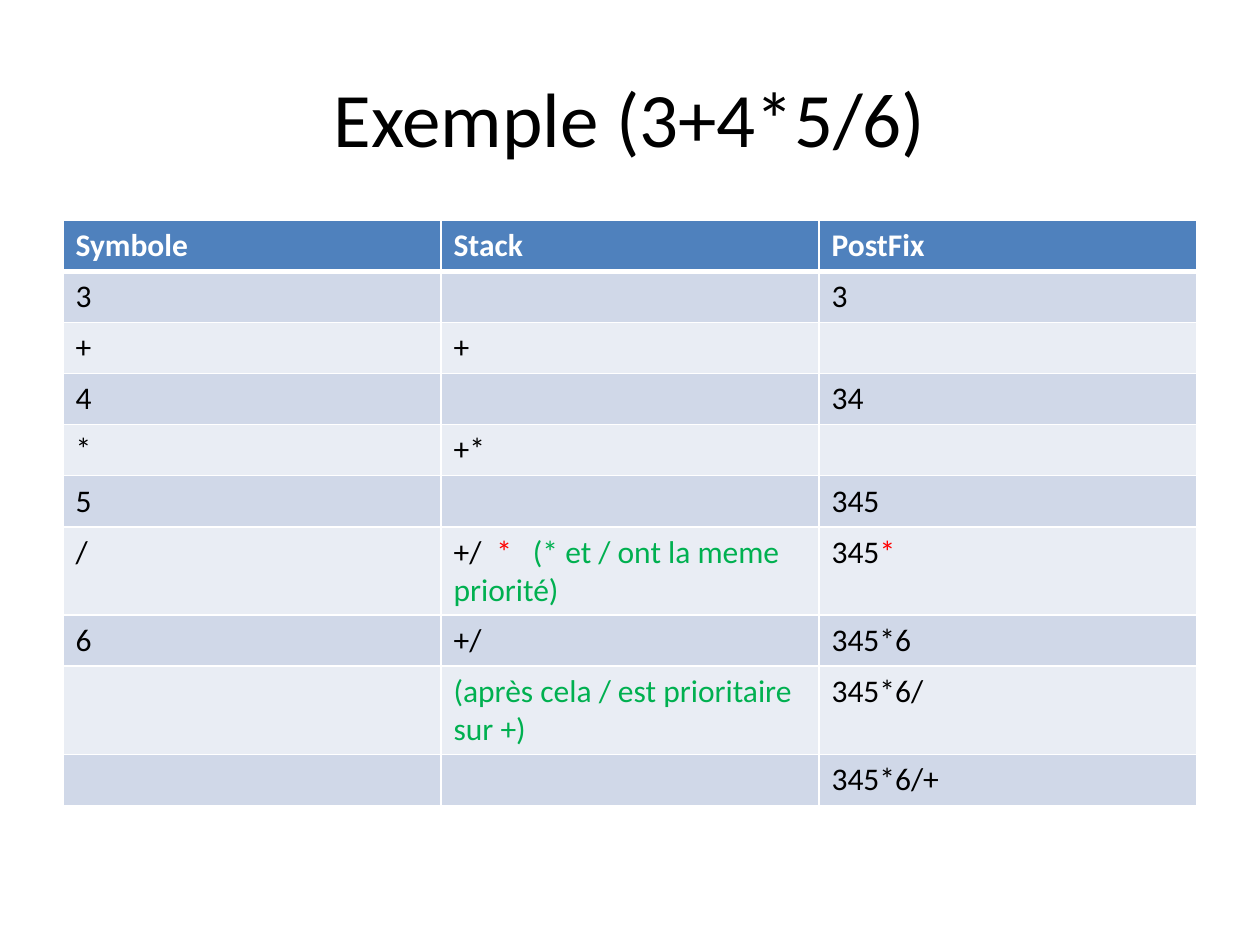
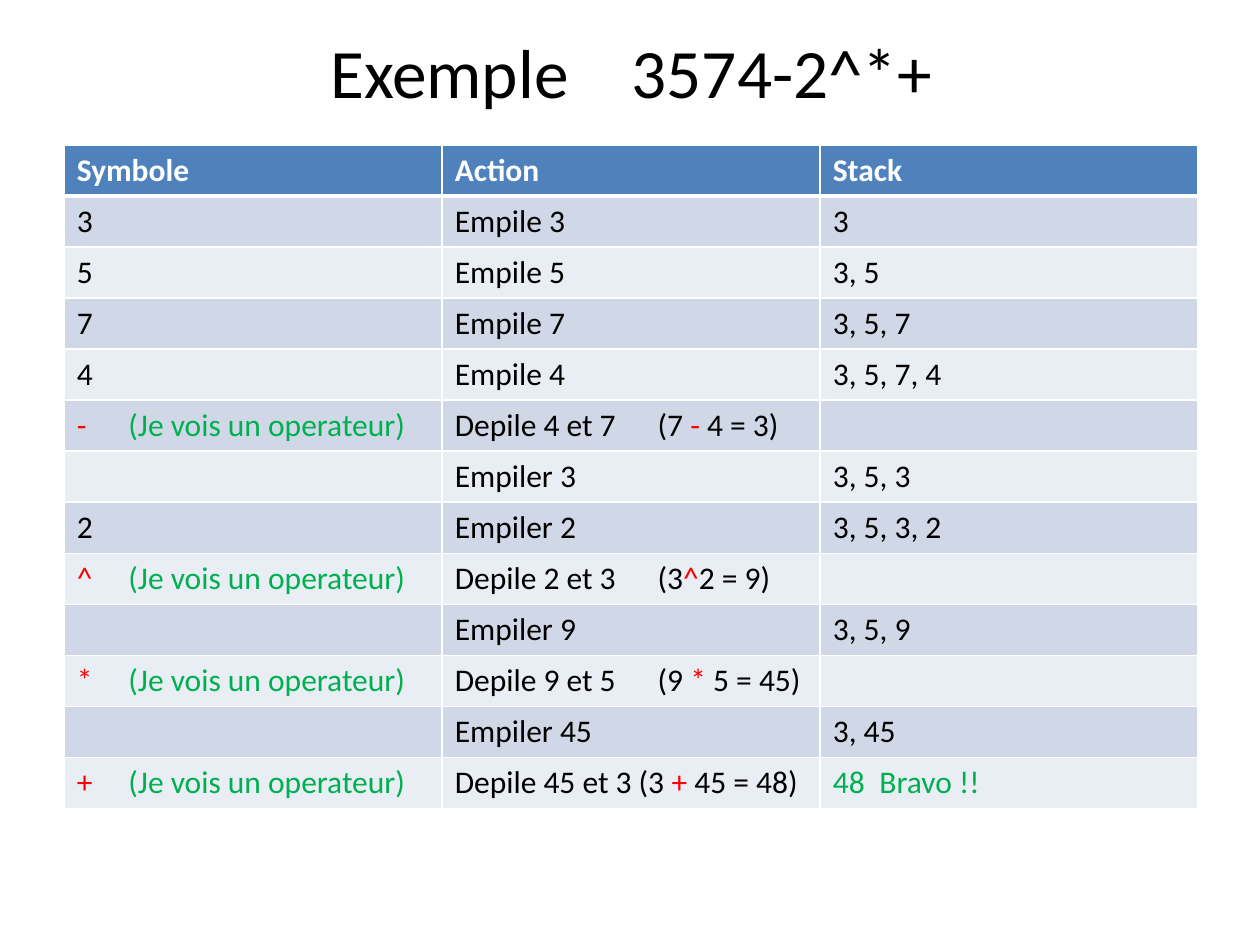
from lxml.etree import SubElement as Sub
from pptx import Presentation
from pptx.dml.color import RGBColor as Color
from pptx.enum.text import MSO_ANCHOR as Anchor, PP_ALIGN as Align
from pptx.oxml.ns import qn
from pptx.util import Inches, Pt

HUES = {
    "black": "000000",
    "white": "FFFFFF",
    "red": "FF0000",
    "green": "00B050",
    "head": "4F81BD",
    "odd": "D0D8E8",
    "even": "E9EDF4",
}
FACE = "Calibri"
HEAD = {"name": FACE, "size": Pt(18), "bold": True}
BODY = {"name": FACE, "size": Pt(18), "bold": False}
WIDTH = 9
ROW = 5.27 / 13


def hue(name):
    return Color.from_string(HUES[name])


def add_run(para, text, style, shade):
    run = para.add_run()
    run.text = text
    for key, value in style.items():
        setattr(run.font, key, value)
    run.font.color.rgb = hue(shade)
    return run


def add_title(slide, box, parts, size, gap=0):
    frame = slide.shapes.add_textbox(*map(Inches, box)).text_frame
    frame.word_wrap = True
    frame.vertical_anchor = Anchor.MIDDLE
    para = frame.paragraphs[0]
    para.alignment = Align.CENTER
    style = {"name": FACE, "size": Pt(size)}
    for part in parts:
        if para.runs:
            space = add_run(para, " ", style, "black")
            space.font._element.set("spc", str(gap * 100))
        add_run(para, part, style, "black")


def add_edge(cell, side, width):
    props = cell._tc.get_or_add_tcPr()
    line = Sub(props, qn("a:ln" + side), w=str(Pt(width)))
    fill = Sub(line, qn("a:solidFill"))
    Sub(fill, qn("a:srgbClr"), val=HUES["white"])


def add_tabs(para, stops):
    tabs = Sub(para._p.get_or_add_pPr(), qn("a:tabLst"))
    for stop in stops:
        Sub(tabs, qn("a:tab"), pos=str(Inches(stop)), algn="l")


def fill_cell(cell, parts, row, stops):
    wide = {"T": 3 if row == 1 else 1, "B": 3 if row == 0 else 1}
    for side in "LRTB":
        add_edge(cell, side, wide.get(side, 1))
    cell.fill.solid()
    cell.fill.fore_color.rgb = hue("head" if row == 0 else "odd" if row % 2 else "even")
    if isinstance(parts, str):
        parts = [(parts, "black" if row else "white")] if parts else []
    para = cell.text_frame.paragraphs[0]
    if any("\t" in text for text, shade in parts):
        add_tabs(para, stops)
    for text, shade in parts:
        add_run(para, text, BODY if row else HEAD, shade)


def add_grid(slide, left, top, rows, stops):
    count = len(rows[0])
    box = map(Inches, (left, top, WIDTH, ROW * len(rows)))
    grid = slide.shapes.add_table(len(rows), count, *box).table
    for col in grid.columns:
        col.width = Inches(WIDTH / count)
    for r, row in enumerate(rows):
        grid.rows[r].height = Inches(ROW)
        for c, parts in enumerate(row):
            fill_cell(grid.cell(r, c), parts, r, stops.get(c, []))


def sign(mark):
    return [(mark + "\t", "red"), ("(Je vois un operateur)", "green")]


def pop(start, mark, end):
    return [(start, "black"), (mark, "red"), (end, "black")]


def add_infix(slide):
    add_title(slide, (0.5, 0.3, WIDTH, 1.25), ["Exemple (3+4*5/6)"], 44)
    rows = [
        ("Symbole", "Stack", "PostFix"),
        ("3", "", "3"),
        ("+", "+", ""),
        ("4", "", "34"),
        ("*", "+*", ""),
        ("5", "", "345"),
        (
            "/",
            [("+/\t", "black"), ("*\t", "red"), ("(* et / ont la meme priorité)", "green")],
            [("345", "black"), ("*", "red")],
        ),
        ("6", "+/", "345*6"),
        ("", [("(après cela / est prioritaire sur +)", "green")], "345*6/"),
        ("", "", "345*6/+"),
    ]
    add_grid(slide, 0.5, 1.75, rows, {1: [0.34, 0.63]})


def add_postfix(slide):
    add_title(slide, (0.51, 0.29, WIDTH, 0.55), ["Exemple", "3574-2^*+"], 39.6, 27)
    rows = [
        ("Symbole", "Action", "Stack"),
        ("3", "Empile 3", "3"),
        ("5", "Empile 5", "3, 5"),
        ("7", "Empile 7", "3, 5, 7"),
        ("4", "Empile 4", "3, 5, 7, 4"),
        (sign("-"), pop("Depile 4 et 7\t(7 ", "- ", "4 = 3)"), ""),
        ("", "Empiler 3", "3, 5, 3"),
        ("2", "Empiler 2", "3, 5, 3, 2"),
        (sign("^"), pop("Depile 2 et 3\t(3", "^", "2 = 9)"), ""),
        ("", "Empiler 9", "3, 5, 9"),
        (sign("*"), pop("Depile 9 et 5\t(9 ", "* ", "5 = 45)"), ""),
        ("", "Empiler 45", "3, 45"),
        (
            sign("+"),
            pop("Depile 45 et 3 (3 ", "+", " 45 = 48)"),
            [("48\tBravo !!", "green")],
        ),
    ]
    add_grid(slide, 0.51, 1.15, rows, {0: [0.41], 1: [1.61], 2: [0.37]})


def main():
    deck = Presentation()
    deck.slide_width, deck.slide_height = Inches(10), Inches(7.5)
    for build in (add_infix, add_postfix):
        build(deck.slides.add_slide(deck.slide_layouts[6]))
    deck.save("out.pptx")


main()
